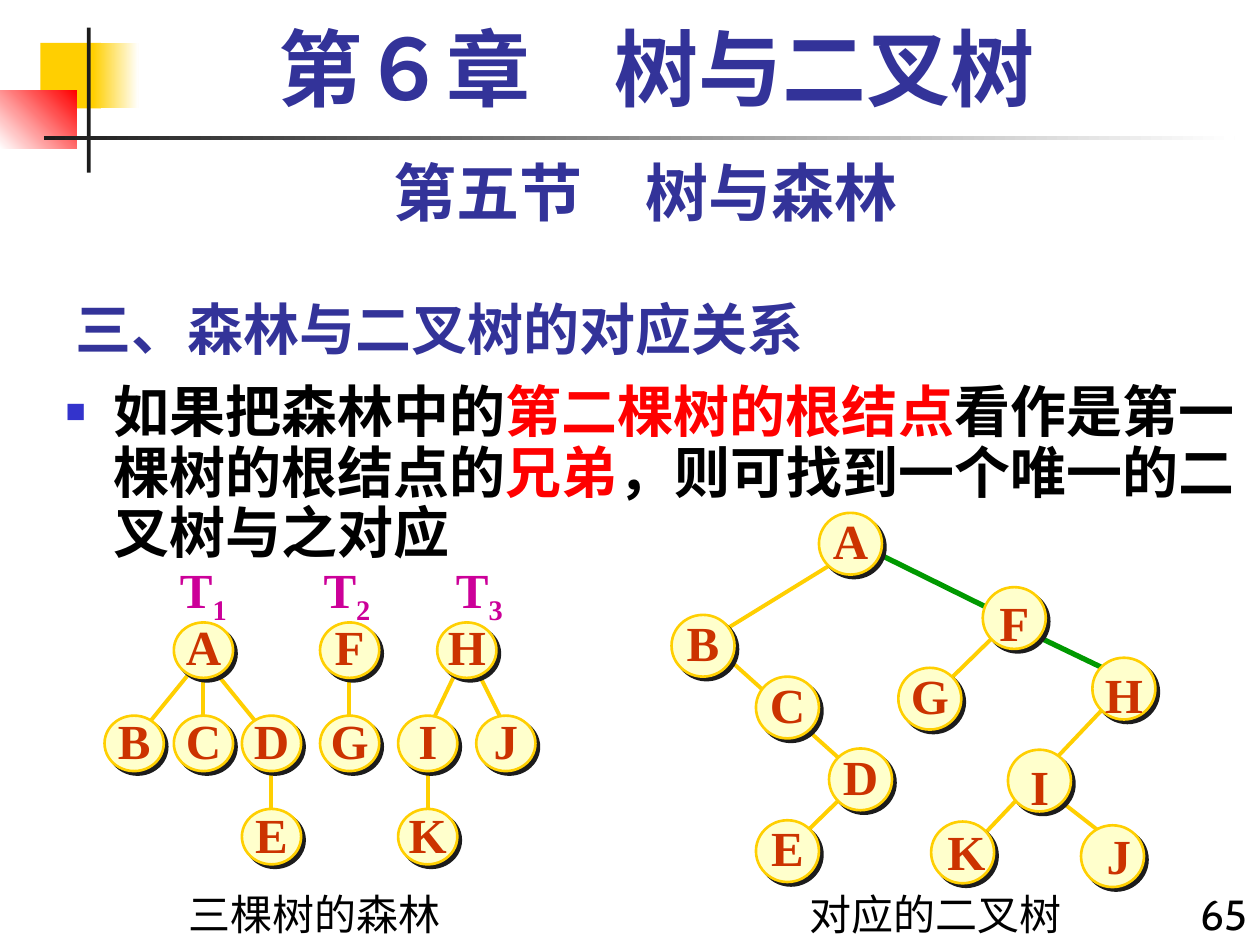
"""Build a slide that maps a forest of three trees to one binary tree."""
from typing import NamedTuple

from lxml import etree
from pptx import Presentation
from pptx import util as u
from pptx.dml.color import RGBColor
from pptx.enum import shapes, text
from pptx.oxml import parse_xml
from pptx.oxml.ns import nsdecls, qn

COLUMNS, ROWS = 100, 75
BLUE, BLACK, RED, GOLD, GREEN = "333399", "000000", "FF0000", "FFCF01", "009900"
DARK, WHITE, CREAM, RUST, MAGENTA = "1C1C1C", "FFFFFF", "FFFFCC", "CC3300", "CC0099"
CJK, SERIF, SANS = "Noto Sans CJK SC", "Times New Roman", "Cabin"
LEFT, CENTER, RIGHT = text.PP_ALIGN.LEFT, text.PP_ALIGN.CENTER, text.PP_ALIGN.RIGHT
TOP, MIDDLE, BOTTOM = text.MSO_ANCHOR.TOP, text.MSO_ANCHOR.MIDDLE, text.MSO_ANCHOR.BOTTOM
LABEL_WIDTH = dict(A=4.8, B=4.6, C=4.8, D=4.8, E=4.6, F=4.4, G=5, H=5, I=3.5, J=4, K=5)
LABEL_HEIGHT = 5.7

presentation = Presentation()
presentation.slide_width, presentation.slide_height = u.Inches(10), u.Inches(7.5)
slide = presentation.slides.add_slide(presentation.slide_layouts[1])


class Run(NamedTuple):
    """A stretch of text with its own colour or baseline."""
    words: str
    color: str = ""
    baseline: int = 0


class Block(NamedTuple):
    """A rectangle of the page ornament; angle runs counter-clockwise."""
    box: tuple
    start: str
    end: str = ""
    angle: int = 0


class Node(NamedTuple):
    """A tree node: left column, top row, and the label's shift from it."""
    name: str
    column: float
    row: float
    drop: float = -0.7
    shift: float = 0


class Edge(NamedTuple):
    """A line between two grid points."""
    start: tuple
    end: tuple
    color: str = GOLD
    weight: float = 2.25


def x(column: float) -> int:
    """Turn grid columns into a length."""
    return round(presentation.slide_width * column / COLUMNS)


def y(row: float) -> int:
    """Turn grid rows into a length."""
    return round(presentation.slide_height * row / ROWS)


def area(box: tuple) -> tuple:
    """Turn a grid box into left, top, width and height."""
    left, top, width, height = box
    return x(left), y(top), x(width), y(height)


def rgb(color: str) -> RGBColor:
    """Turn a hex string into a colour."""
    return RGBColor.from_string(color)


def write(shape, runs, *, size, font, color, bold=False, align=LEFT, anchor=TOP,
          spacing=1.0, wrap=True, bullet="", tabs=()):
    """Write one formatted paragraph into a shape."""
    frame = shape.text_frame
    frame.word_wrap, frame.vertical_anchor = wrap, anchor
    frame.auto_size = text.MSO_AUTO_SIZE.NONE
    paragraph = frame.paragraphs[0]
    paragraph.alignment, paragraph.line_spacing = align, spacing
    paragraph.space_before = u.Pt(0)
    properties = paragraph._p.get_or_add_pPr()
    if bullet:
        properties.set("marL", str(x(3.8)))
        properties.set("indent", str(-x(3.8)))
        bullet_color = etree.SubElement(properties, qn("a:buClr"))
        etree.SubElement(bullet_color, qn("a:srgbClr"), val="3333CC")
        etree.SubElement(properties, qn("a:buSzPct"), val="60000")
        etree.SubElement(properties, qn("a:buChar"), char=bullet)
    if tabs:
        tab_list = etree.SubElement(properties, qn("a:tabLst"))
        for stop in tabs:
            etree.SubElement(tab_list, qn("a:tab"), pos=str(x(stop)), algn="l")
    for part in [Run(runs)] if isinstance(runs, str) else runs:
        run = paragraph.add_run()
        run.text = part.words
        run.font.size, run.font.bold, run.font.name = u.Pt(size), bold, font
        run.font.color.rgb = rgb(part.color or color)
        run_properties = run.font._element
        etree.SubElement(run_properties, qn("a:ea"), typeface=CJK)
        if part.baseline:
            run_properties.set("baseline", str(part.baseline * 1000))


def add_text(box: tuple, runs, **style) -> None:
    """Add a text box on the grid."""
    write(slide.shapes.add_textbox(*area(box)), runs, **style)


def fill_placeholder(index: int, box: tuple, runs, **style) -> None:
    """Move a template placeholder onto the grid and write in it."""
    shape = slide.placeholders[index]
    shape.left, shape.top, shape.width, shape.height = area(box)
    write(shape, runs, **style)


def draw_block(block: Block) -> None:
    """Draw one plain or graded rectangle."""
    shape = slide.shapes.add_shape(shapes.MSO_SHAPE.RECTANGLE, *area(block.box))
    shape.shadow.inherit = False
    shape.line.fill.background()
    if not block.end:
        shape.fill.solid()
        shape.fill.fore_color.rgb = rgb(block.start)
        return
    shape.fill.gradient()
    shape.fill.gradient_angle = block.angle
    for stop, color in zip(shape.fill.gradient_stops, (block.start, block.end)):
        stop.color.rgb = rgb(color)


def draw_edge(edge: Edge) -> None:
    """Draw one line of a tree."""
    (x1, y1), (x2, y2) = edge.start, edge.end
    line = slide.shapes.add_connector(shapes.MSO_CONNECTOR.STRAIGHT, x(x1), y(y1), x(x2), y(y2))
    line.line.color.rgb, line.line.width = rgb(edge.color), u.Pt(edge.weight)
    etree.SubElement(line._element.spPr, qn("a:effectLst"))


def draw_node(node: Node, width: float, height: float) -> None:
    """Draw one shadowed ellipse and its letter."""
    shape = slide.shapes.add_shape(
        shapes.MSO_SHAPE.OVAL, *area((node.column, node.row, width, height)))
    shape.fill.solid()
    shape.fill.fore_color.rgb = rgb(CREAM)
    shape.line.color.rgb, shape.line.width = rgb(GOLD), u.Pt(1.5)
    shape._element.spPr.append(parse_xml(
        f'<a:effectLst {nsdecls("a")}><a:outerShdw dist="{u.Pt(2.8)}" dir="2700000" '
        f'algn="ctr" rotWithShape="0"><a:srgbClr val="{DARK}"/></a:outerShdw></a:effectLst>'))
    label = LABEL_WIDTH[node.name]
    left = node.column + (width - label) / 2 + node.shift
    add_text((left, node.row + node.drop, label, LABEL_HEIGHT), node.name, size=28,
             font=SERIF, color=RUST, bold=True, align=CENTER, anchor=MIDDLE, wrap=False)


def draw_tree(edges: list, nodes: list, width: float, height: float) -> None:
    """Draw the lines, then the nodes above them."""
    for edge in edges:
        draw_edge(edge)
    for node in nodes:
        draw_node(node, width, height)


ORNAMENT = [
    Block((3.2, 3.4, 4.8, 5.2), GOLD), Block((7.4, 3.4, 3.6, 5.2), GOLD, WHITE),
    Block((0, 7.2, 6.1, 4.6), WHITE, RED, 45), Block((6.9, 2.2, 0.3, 11.5), DARK),
    Block((3.5, 10.8, 94.5, 0.3), DARK, WHITE)]
FOREST_ROWS = [(49.4, -1, {"A": 13.8, "F": 25.4, "H": 34.7}),
               (56.8, -0.9, {"B": 8.3, "C": 13.8, "D": 19.2, "G": 25.4, "I": 31.6, "J": 37.8}),
               (64.2, -0.9, {"E": 19.2, "K": 31.6})]
FOREST = [Node(name, column, row, drop)
          for row, drop, places in FOREST_ROWS for name, column in places.items()]
FOREST_EDGES = [Edge((a, 53.1), (b, 57.9)) for a, b in
                [(37.8, 40.2), (36.3, 34), (16.9, 20.8), (15.3, 11.4), (27.7, 27.7), (16.1, 16.1)]]
FOREST_EDGES += [Edge((column, 60.5), (column, 64.9)) for column in (34, 21.5)]
BINARY = [Node("A", 65, 40.7), Node("B", 53.3, 48.8), Node("C", 60, 53.7),
          Node("D", 65.8, 59.4), Node("E", 60, 65.1), Node("F", 78, 46.6, -0.1),
          Node("G", 71.3, 53), Node("H", 86.7, 52.2, 0), Node("I", 80, 59.5, 0),
          Node("K", 73.9, 65.2, -0.5, 0.3), Node("J", 85.8, 65.5, -0.5, 0.5)]
BINARY_EDGES = [
    Edge((70, 44.1), (78.3, 48.2), GREEN, 3), Edge((82.5, 50.6), (87.5, 53), GREEN, 3),
    Edge((67.5, 62.6), (63.3, 66.7)), Edge((56.7, 51.3), (67.5, 61)),
    Edge((65.8, 44.9), (56.7, 50.5)), Edge((84.2, 63.6), (88.3, 66.8)),
    Edge((87.5, 56.3), (78.3, 66)), Edge((79.6, 49.8), (74.6, 54.7))]

for ornament_block in ORNAMENT:
    draw_block(ornament_block)
add_text((6.7, 1.7, 90.8, 8.3), "第６章　树与二叉树", size=48, font=SERIF, color=BLUE,
         bold=True, align=CENTER, spacing=0.9)
add_text((5, 11.7, 92.5, 7), "第五节　树与森林", size=36, font=SANS, color=BLUE,
         bold=True, align=CENTER)
fill_placeholder(0, (5, 21.7, 62.5, 7.5), "三、森林与二叉树的对应关系", size=32, font=CJK,
                 color=BLUE, bold=True, anchor=BOTTOM)
fill_placeholder(1, (4.2, 30, 95.8, 45), [
    Run("如果把森林中的"), Run("第二棵树的根结点", RED), Run("看作是第一棵树的根结点的"),
    Run("兄弟", RED), Run("，则可找到一个唯一的二叉树与之对应")],
    size=32, font=CJK, color=BLACK, bold=True, spacing=0.9, bullet="■")
add_text((13.3, 44.2, 28.3, 5.7), [
    Run("T"), Run("1", baseline=-25), Run("\tT"), Run("2", baseline=-25),
    Run("\tT"), Run("3", baseline=-25)],
    size=28, font=SERIF, color=MAGENTA, bold=True, anchor=MIDDLE, tabs=(11.4, 21.9))
draw_tree(FOREST_EDGES, FOREST, 4.7, 4.4)
draw_tree(BINARY_EDGES, BINARY, 5, 4.9)
caption = dict(size=24, font=SANS, color=BLACK)
add_text((12.5, 70, 25, 5), "三棵树的森林", align=CENTER, **caption)
add_text((63.3, 70, 23.3, 5), "对应的二叉树", **caption)
add_text((93.3, 70, 6.7, 5), "65", align=RIGHT, **caption)
presentation.save("out.pptx")
